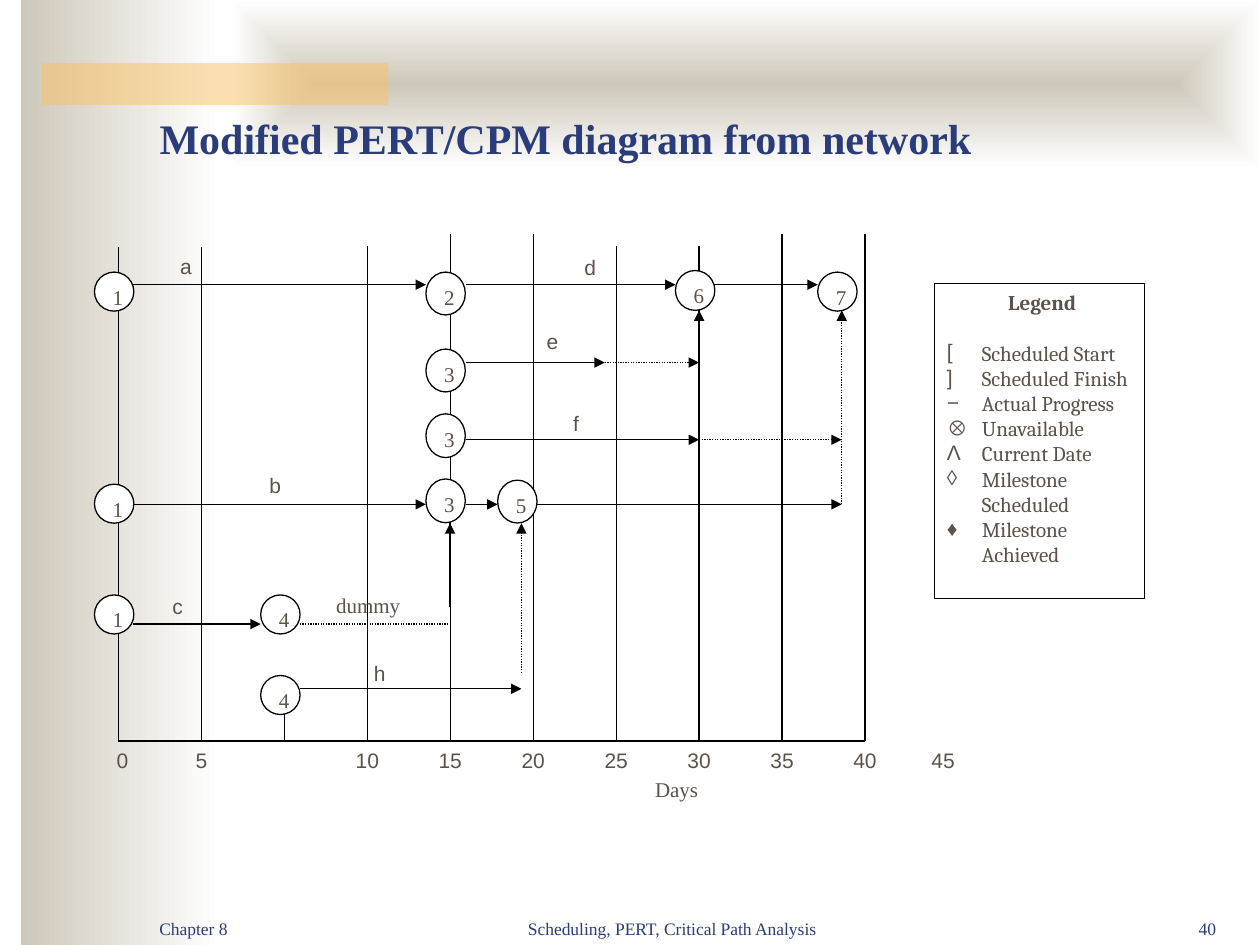
from dataclasses import dataclass

from lxml import etree
from pptx import Presentation
from pptx import util as u
from pptx.dml.color import RGBColor
from pptx.enum import dml, shapes, text
from pptx.oxml import ns


@dataclass(frozen=True)
class Theme:
    """Colours, fonts and sizes of the slide."""
    ink: str = "5B5249"
    navy: str = "2A3D7A"
    stone: str = "CEC8BA"
    amber: str = "FAC164"
    white: str = "FFFFFF"
    black: str = "000000"
    serif: str = "Times New Roman"
    sans: str = "Arial"
    legend: str = "Cambria"
    title_size: float = 24
    body_size: float = 12
    footer_size: float = 10
    stroke: float = 0.74


THEME = Theme()
AXIS_LEFT, AXIS_STEP, AXIS_Y = 67.7, 47.4, 423.4
ROW_A, ROW_E, ROW_F, ROW_B, ROW_C, ROW_H = 162.7, 207.2, 251.3, 288.2, 356.6, 393.6
GRID = {0: 141, 1: 141, 3: 140.4, 4: 134, 5: 134, 6: 140.4, 7: 140.4, 8: 134, 9: 134}
DAY_LABELS = {0: "0", 1: "5", 3: "10", 4: "15", 5: "20", 6: "25", 7: "30", 8: "35",
              9: "40", 10: "45"}
LABEL_NUDGE = {0: 2.3, 10: -2.8}
NODES = [
    ("1", 54, 340, 22.3), ("1", 54, 155.5, 22.3), ("1", 54, 276.7, 22.3),
    ("4", 149, 340, 22.3), ("4", 149, 386, 22.3), ("2", 243.4, 155.5, 24.5),
    ("3", 243.4, 199.5, 24.5), ("3", 243.4, 236.5, 25), ("3", 243.4, 273.7, 25),
    ("5", 284.4, 274.4, 24.5), ("6", 386, 154.6, 22.8), ("7", 467.3, 155.5, 22.3),
]
SOLID_ARROWS = [
    (76.3, ROW_A, 243.4, ROW_A), (266.4, ROW_A, 386, ROW_A), (408.3, ROW_A, 467.3, ROW_A),
    (266.4, ROW_E, 345.6, ROW_E), (266.4, ROW_F, 399.5, ROW_F),
    (76.3, ROW_B, 243.4, ROW_B), (266.4, ROW_B, 284.4, ROW_B), (306.7, ROW_B, 481, ROW_B),
    (76.3, ROW_C, 149, ROW_C), (171.4, ROW_H, 298, ROW_H),
]
DOTTED_ARROWS = [
    (345.6, ROW_E, 399.5, ROW_E), (399.5, ROW_E, 399.5, 177.4),
    (399.5, ROW_F, 481, ROW_F), (481, ROW_B, 481, 177.4),
    (257.2, 347, 257.2, 299), (298, 384.5, 298, 299),
]
ACTIVITIES = [("a", 95.8, 141.1), ("b", 146.9, 266.4), ("c", 91.4, 335.5), ("d", 326.9, 141.8),
              ("e", 305.3, 184.3), ("f", 320.4, 231.1), ("h", 206.6, 373.7)]
LEGEND = [("[", "Scheduled Start"), ("]", "Scheduled Finish"), ("−", "Actual Progress"),
          ("⊗", "Unavailable"), ("Λ", "Current Date"), ("◊", "Milestone Scheduled"),
          ("♦", "Milestone Achieved")]


def color(code):
    """Turn a hex code into a colour."""
    return RGBColor.from_string(code)


def points(*values):
    """Turn numbers into lengths in points."""
    return [u.Pt(value) for value in values]


def style(para, font, size=THEME.body_size, code=THEME.ink, bold=False, align=None):
    """Format one paragraph."""
    para.font.name, para.font.size, para.font.bold = font, u.Pt(size), bold
    para.font.color.rgb = color(code)
    para.alignment = align or text.PP_ALIGN.LEFT


def add_text(page, words, frame, font, anchor=text.MSO_ANCHOR.TOP, **look):
    """Add a one-paragraph text box."""
    box = page.shapes.add_textbox(*points(*frame))
    box.text_frame.word_wrap = True
    box.text_frame.vertical_anchor = anchor
    box.text_frame.text = words
    style(box.text_frame.paragraphs[0], font, **look)


def add_block(page, kind, frame, outlined=True):
    """Add a white preset shape, outlined or bare."""
    block = page.shapes.add_shape(kind, *points(*frame))
    block.shadow.inherit = False
    block.fill.solid()
    block.fill.fore_color.rgb = color(THEME.white)
    if outlined:
        block.line.color.rgb = color(THEME.black)
        block.line.width = u.Pt(THEME.stroke)
    else:
        block.line.fill.background()
    block.text_frame.word_wrap = True
    block.text_frame.vertical_anchor = text.MSO_ANCHOR.TOP
    return block


def add_line(page, ends, dotted=False, arrow=False):
    """Add a straight line, dotted or with an arrowhead if asked."""
    line = page.shapes.add_connector(shapes.MSO_CONNECTOR.STRAIGHT, *points(*ends))
    line.line.color.rgb = color(THEME.black)
    line.line.width = u.Pt(THEME.stroke)
    if dotted:
        line.line.dash_style = dml.MSO_LINE.ROUND_DOT
    properties = line.element.spPr
    if arrow:
        etree.SubElement(properties.find(ns.qn("a:ln")), ns.qn("a:tailEnd"), type="triangle")
    etree.SubElement(properties, ns.qn("a:effectLst"))


def add_gradient(page, frame, centred=False):
    """Add a stone-to-white panel, fading rightwards or from its centre."""
    panel = add_block(page, shapes.MSO_SHAPE.RECTANGLE, frame, outlined=False)
    panel.fill.gradient()
    panel.fill.gradient_angle = 0
    for stop, code in zip(panel.fill.gradient_stops, (THEME.stone, THEME.white)):
        stop.color.rgb = color(code)
    if centred:
        gradient = panel.element.spPr.find(ns.qn("a:gradFill"))
        gradient.remove(gradient.find(ns.qn("a:lin")))
        shade = etree.SubElement(gradient, ns.qn("a:path"), path="rect")
        etree.SubElement(shade, ns.qn("a:fillToRect"), dict.fromkeys("ltrb", "50000"))


def add_backdrop(page):
    """Add the gradient panels and the translucent amber bar."""
    add_gradient(page, (12, 0, 114, 540))
    add_gradient(page, (132, 0, 588, 96), centred=True)
    bar = add_block(page, shapes.MSO_SHAPE.RECTANGLE, (24, 36, 198, 24), outlined=False)
    bar.fill.fore_color.rgb = color(THEME.amber)
    tint = bar.element.spPr.find(ns.qn("a:solidFill"))[0]
    etree.SubElement(tint, ns.qn("a:alpha"), val="50000")


def add_title(page, words):
    """Place the title above the backdrop."""
    title = page.shapes.title
    title.left, title.top, title.width, title.height = points(84, 64.5, 612, 61.5)
    title.text_frame.text = words
    title.text_frame.margin_top = u.Pt(0)
    title.text_frame.vertical_anchor = text.MSO_ANCHOR.TOP
    style(title.text_frame.paragraphs[0], THEME.serif, THEME.title_size, THEME.navy, True)
    title.element.getparent().append(title.element)


def add_footer(page):
    """Add chapter, subject and page number."""
    align = text.PP_ALIGN
    for words, left, width, side in (
            ("Chapter 8", 84, 150, align.LEFT),
            ("Scheduling, PERT, Critical Path Analysis", 270, 228, align.CENTER),
            ("40", 630, 72, align.RIGHT)):
        add_text(page, words, (left, 504, width, 36), THEME.serif, text.MSO_ANCHOR.BOTTOM,
                 size=THEME.footer_size, code=THEME.navy, align=side)


def add_time_axis(page):
    """Add grid lines, ticks, baseline and day labels."""
    ticks = [AXIS_LEFT + AXIS_STEP * index for index in range(11)]
    for index, top in GRID.items():
        add_line(page, (ticks[index], 415, ticks[index], top))
    for index, x in enumerate(ticks[:10]):
        add_line(page, (x, 408 if index == 2 else 404, x, AXIS_Y))
    add_line(page, (ticks[0], AXIS_Y, ticks[9], AXIS_Y))
    for index, day in DAY_LABELS.items():
        left = ticks[index] + LABEL_NUDGE.get(index, 0) - 15.5
        add_text(page, day, (left, AXIS_Y, 31, 22.3), THEME.sans, align=text.PP_ALIGN.CENTER)
    add_text(page, "Days", (367.2, 440, 46.8, 28), THEME.serif)


def add_network(page):
    """Add event nodes, activity arrows and activity names."""
    for number, left, top, height in NODES:
        node = add_block(page, shapes.MSO_SHAPE.OVAL, (left, top, 22.5, height))
        node.text_frame.text = number
        style(node.text_frame.paragraphs[0], THEME.serif)
    for ends in SOLID_ARROWS:
        add_line(page, ends, arrow=True)
    for ends in DOTTED_ARROWS:
        add_line(page, ends, dotted=True, arrow=True)
    add_line(page, (257.2, 299, 257.2, 347))
    add_line(page, (171.4, ROW_C, 257.2, ROW_C), dotted=True)
    for name, left, top in ACTIVITIES:
        add_text(page, name, (left, top, 24.5, 25), THEME.sans)
    add_text(page, "dummy", (185, 335, 72.7, 25), THEME.serif)


def add_legend(page):
    """Add the legend box with one symbol bullet per entry."""
    frame = add_block(page, shapes.MSO_SHAPE.RECTANGLE, (534, 162, 120, 180)).text_frame
    frame.margin_right = u.Pt(4)
    heading = frame.paragraphs[0]
    heading.text = "Legend"
    style(heading, THEME.legend, bold=True, align=text.PP_ALIGN.CENTER)
    heading.line_spacing = heading.space_after = u.Pt(14.4)
    for symbol, meaning in LEGEND:
        para = frame.add_paragraph()
        para.text = meaning
        style(para, THEME.legend)
        para.line_spacing = u.Pt(14.4)
        properties = para._p.get_or_add_pPr()
        properties.set("marL", str(u.Pt(20)))
        properties.set("indent", str(-u.Pt(20)))
        defaults = properties.find(ns.qn("a:defRPr"))
        defaults.addprevious(etree.Element(ns.qn("a:buFont"), typeface=THEME.sans))
        defaults.addprevious(etree.Element(ns.qn("a:buChar"), char=symbol))


def main():
    """Build the slide and save it."""
    deck = Presentation()
    deck.slide_width, deck.slide_height = points(720, 540)
    page = deck.slides.add_slide(deck.slide_layouts[5])
    add_backdrop(page)
    add_title(page, "Modified PERT/CPM diagram from network")
    add_footer(page)
    add_time_axis(page)
    add_network(page)
    add_legend(page)
    deck.save("out.pptx")


main()
